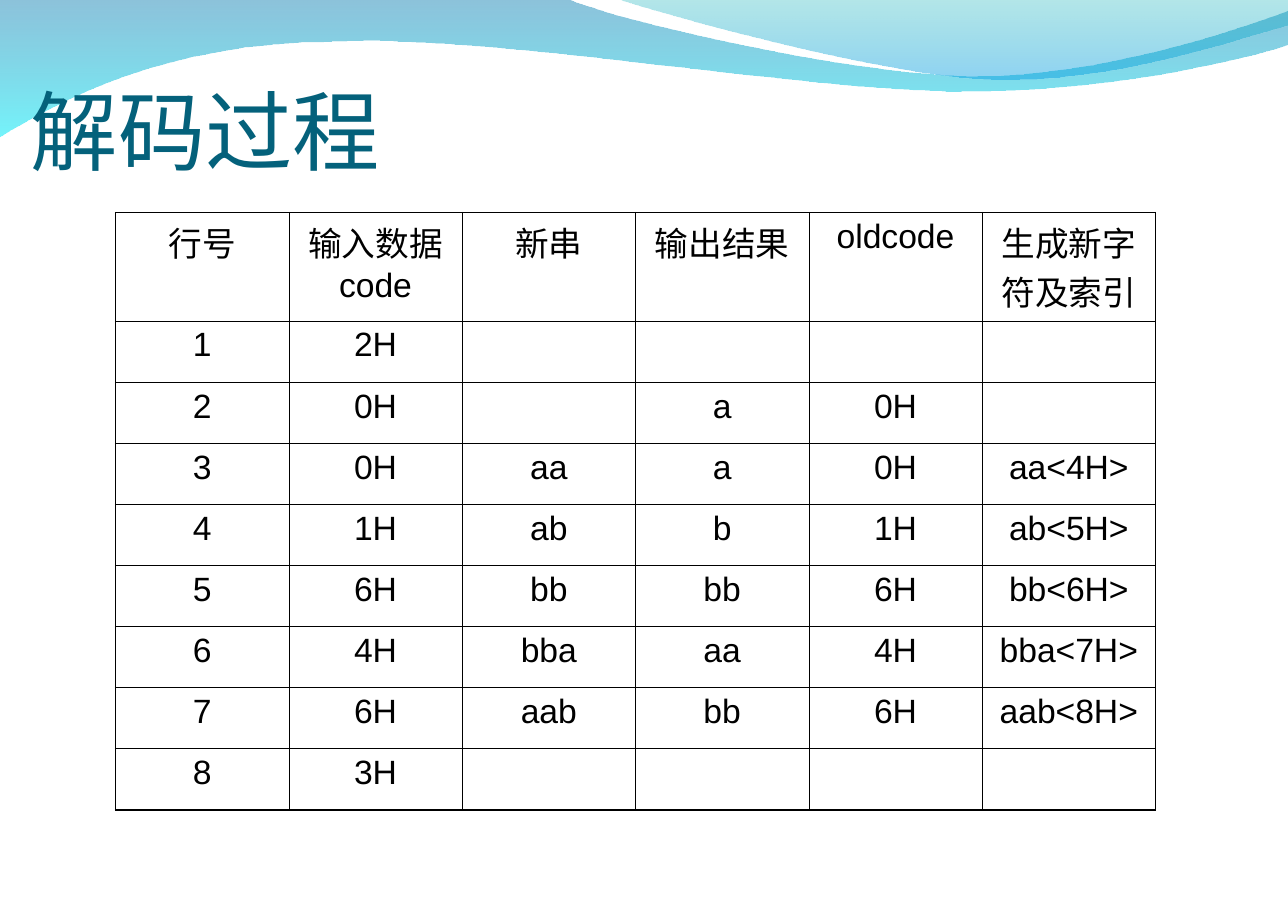
from dataclasses import dataclass

import pptx
import pptx.dml.color
import pptx.enum.text
import pptx.oxml.ns
import pptx.slide
import pptx.table
import pptx.text.text
import pptx.util
from lxml import etree

Pt = pptx.util.Pt
RGBColor = pptx.dml.color.RGBColor
Align = pptx.enum.text.PP_ALIGN
Anchor = pptx.enum.text.MSO_ANCHOR
qn = pptx.oxml.ns.qn

TEAL = RGBColor(0x04, 0x61, 0x7B)
BLACK = RGBColor(0x00, 0x00, 0x00)
DEEP_BLUE = RGBColor(0x00, 0x79, 0xAF)
CYAN = RGBColor(0x00, 0xEB, 0xF8)
SEA_GREEN = RGBColor(0x00, 0xAD, 0xB6)
SKY_BLUE = RGBColor(0x00, 0x9B, 0xE5)

Point = tuple[float, float]
THIN, THICK = 0.45, 1.08


@dataclass
class Wave:
    """An outline whose segments are one point (line) or three (cubic curve)."""
    start: Point
    segments: list[tuple[Point, ...]]
    colors: tuple[RGBColor, RGBColor]
    opacities: tuple[int, int]


WAVES = [
    Wave((0, 0), [
        ((370.8, -0.7),),
        ((400.3, 13), (558.7, 49.7), (638.6, 49.7)),
        ((718.6, 49.7), (807.1, 20.2), (841.7, 7.2)),
        ((843.1, 28.8),),
        ((828, 34.6), (732.2, 60.5), (627.8, 59.8)),
        ((523.4, 59.8), (321.1, 22.3), (216.7, 27.4)),
        ((108.7, 28.1), (38.9, 65.5), (-0.7, 90)),
    ], (DEEP_BLUE, CYAN), (45, 55)),
    Wave((403.2, -0.7), [
        ((429.1, 8.6), (574.6, 49), (647.3, 51.8)),
        ((727.2, 54.7), (809.3, 25.2), (841.7, 16.6)),
        ((841.7, 0),),
    ], (SEA_GREEN, SKY_BLUE), (30, 45)),
]

DECODING_ROWS = [
    ("行号", "输入数据code", "新串", "输出结果", "oldcode", "生成新字符及索引"),
    ("1", "2H", "", "", "", ""),
    ("2", "0H", "", "a", "0H", ""),
    ("3", "0H", "aa", "a", "0H", "aa<4H>"),
    ("4", "1H", "ab", "b", "1H", "ab<5H>"),
    ("5", "6H", "bb", "bb", "6H", "bb<6H>"),
    ("6", "4H", "bba", "aa", "4H", "bba<7H>"),
    ("7", "6H", "aab", "bb", "6H", "aab<8H>"),
    ("8", "3H", "", "", "", ""),
]
TABLE_LEFT, TABLE_TOP = 75.5, 138.9
COLUMN_WIDTH, HEADER_HEIGHT, ROW_HEIGHT = 113.3, 66, 39.95


def write_text(frame: pptx.text.text.TextFrame, text: str, *, size: float, font: str,
               color: RGBColor, align: Align) -> None:
    frame.word_wrap = True
    paragraph = frame.paragraphs[0]
    paragraph.alignment = align
    run = paragraph.add_run()
    run.text = text
    run.font.size = Pt(size)
    run.font.name = font
    run.font.color.rgb = color


def bend_segments(outline: etree._Element, segments: list[tuple[Point, ...]]) -> None:
    """Join the three lines that stand for each curve into one cubic curve."""
    lines = iter(outline.findall(qn("a:lnTo")))
    for segment in segments:
        parts = [next(lines) for _ in segment]
        if len(parts) == 3:
            curve = etree.Element(qn("a:cubicBezTo"))
            parts[0].addprevious(curve)
            for part in parts:
                curve.append(part[0])
                outline.remove(part)


def draw_wave(slide: pptx.slide.Slide, wave: Wave) -> None:
    points = [point for segment in wave.segments for point in segment]
    builder = slide.shapes.build_freeform(Pt(wave.start[0]), Pt(wave.start[1]))
    builder.add_line_segments([(Pt(x), Pt(y)) for x, y in points], close=True)
    shape = builder.convert_to_shape()
    bend_segments(next(shape.element.iter(qn("a:path"))), wave.segments)
    shape.shadow.inherit = False
    shape.line.fill.background()
    shape.fill.gradient()
    shape.fill.gradient_angle = 270
    for stop, color, position in zip(shape.fill.gradient_stops, wave.colors, (0, 1)):
        stop.color.rgb = color
        stop.position = position
    for color_element, opacity in zip(shape.element.spPr.iter(qn("a:srgbClr")), wave.opacities):
        etree.SubElement(color_element, qn("a:alpha"), val=str(opacity * 1000))


def set_border(cell: pptx.table._Cell, side: str, width: float) -> None:
    properties = cell._tc.get_or_add_tcPr()
    line = etree.SubElement(properties, qn(f"a:ln{side}"), w=str(Pt(width)))
    fill = etree.SubElement(line, qn("a:solidFill"))
    etree.SubElement(fill, qn("a:srgbClr"), val=str(BLACK))


def draw_title(slide: pptx.slide.Slide) -> None:
    title = slide.shapes.title
    title.left, title.top, title.width, title.height = Pt(20.2), Pt(19.4), Pt(688.3), Pt(99.4)
    frame = title.text_frame
    frame.auto_size = pptx.enum.text.MSO_AUTO_SIZE.NONE
    frame.vertical_anchor = Anchor.BOTTOM
    frame.margin_left = frame.margin_right = frame.margin_bottom = 0
    frame.margin_top = Pt(4.3)
    write_text(frame, "解码过程", size=57, font="Calibri", color=TEAL, align=Align.LEFT)
    # Bring the title in front of the waves
    title.element.getparent().append(title.element)


def draw_table(slide: pptx.slide.Slide) -> None:
    row_count, column_count = len(DECODING_ROWS), len(DECODING_ROWS[0])
    height = HEADER_HEIGHT + (row_count - 1) * ROW_HEIGHT
    table = slide.shapes.add_table(
        row_count, column_count, Pt(TABLE_LEFT), Pt(TABLE_TOP),
        Pt(column_count * COLUMN_WIDTH), Pt(height)).table
    table.first_row = table.horz_banding = False
    for column in table.columns:
        column.width = Pt(COLUMN_WIDTH)
    for row_index, texts in enumerate(DECODING_ROWS):
        table.rows[row_index].height = Pt(ROW_HEIGHT if row_index else HEADER_HEIGHT)
        for column_index, text in enumerate(texts):
            cell = table.cell(row_index, column_index)
            cell.margin_left = cell.margin_right = Pt(8.6)
            cell.margin_top = cell.margin_bottom = Pt(3.6)
            outer_sides = {
                "L": column_index == 0,
                "R": column_index == column_count - 1,
                "T": row_index == 0,
                "B": row_index == row_count - 1,
            }
            for side, is_outer in outer_sides.items():
                set_border(cell, side, THICK if is_outer else THIN)
            cell.fill.background()
            if text:
                write_text(cell.text_frame, text, size=22, font="Arial",
                           color=BLACK, align=Align.CENTER)


def main() -> None:
    presentation = pptx.Presentation()
    presentation.slide_width, presentation.slide_height = Pt(841.7), Pt(595.4)
    slide = presentation.slides.add_slide(presentation.slide_layouts[5])

    # Wave decoration, title, decoding table
    for wave in WAVES:
        draw_wave(slide, wave)
    draw_title(slide)
    draw_table(slide)

    presentation.save("out.pptx")


if __name__ == "__main__":
    main()
